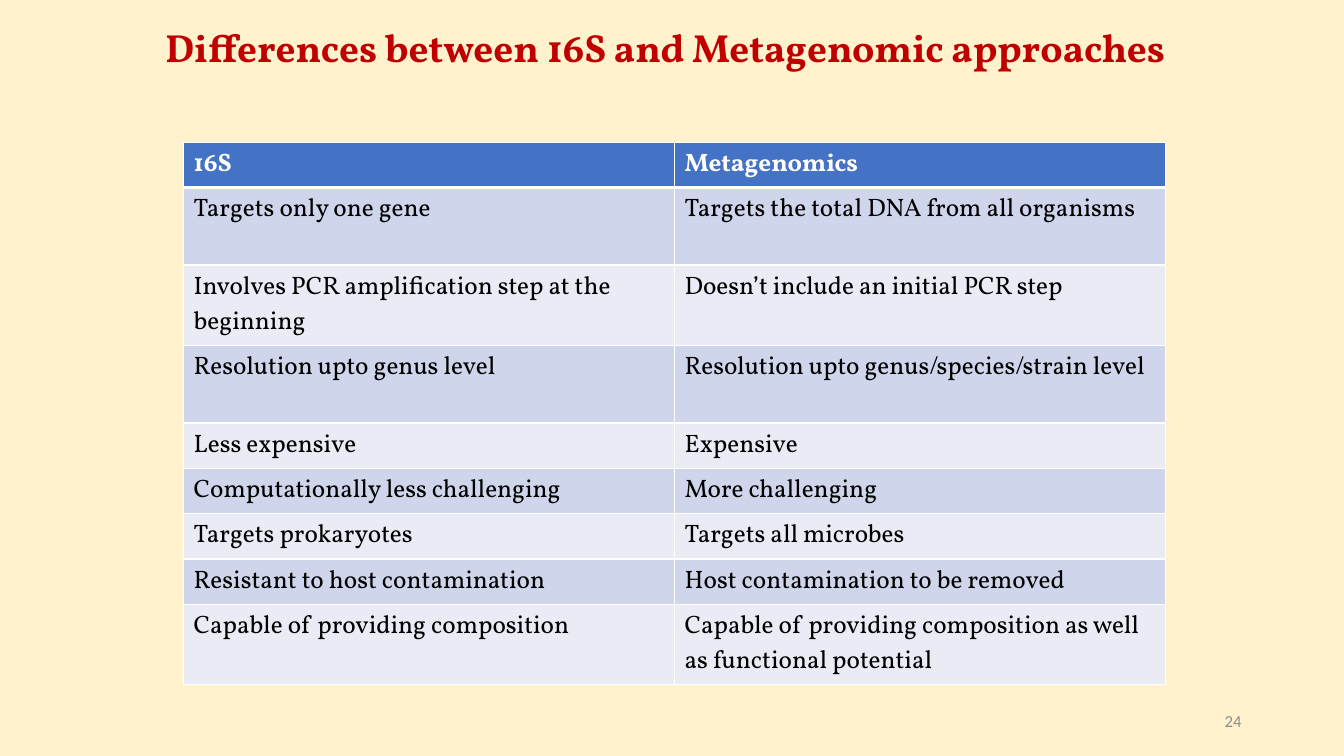
from lxml import etree
from pptx import Presentation
from pptx import util as u
from pptx.dml.color import RGBColor
from pptx.enum import text
from pptx.oxml import ns

Pt = u.Pt
COLORS = {
    "background": "FFF2CC", "title": "C00000", "header": "4472C4",
    "band_dark": "CFD5EA", "band_light": "E9EBF5",
    "white": "FFFFFF", "black": "000000", "number": "8C8C8C",
}
ROWS = [
    ("16S", "Metagenomics"),
    ("Targets only one gene", "Targets the total DNA from all organisms"),
    ("Involves PCR amplification step at the beginning", "Doesn’t include an initial PCR step"),
    ("Resolution upto genus level", "Resolution upto genus/species/strain level"),
    ("Less expensive", "Expensive"),
    ("Computationally less challenging", "More challenging"),
    ("Targets prokaryotes", "Targets all microbes"),
    ("Resistant to host contamination", "Host contamination to be removed"),
    ("Capable of providing composition",
     "Capable of providing composition as well as functional potential"),
]
TALL_ROWS = {1, 2, 3, 8}


def rgb(name):
    return RGBColor.from_string(COLORS[name])


def write(tf, content, size=18, font="Vollkorn", color="black", bold=False,
          align=text.PP_ALIGN.LEFT, spacing=None):
    p = tf.paragraphs[0]
    p.alignment = align
    if spacing:
        p.line_spacing = spacing
    r = p.add_run()
    r.text = content
    r.font.size = Pt(size)
    r.font.name = font
    r.font.bold = bold
    r.font.color.rgb = rgb(color)


def set_borders(cell, top=1, bottom=1):
    tc_pr = cell._tc.get_or_add_tcPr()
    for side, width in (("L", 1), ("R", 1), ("T", top), ("B", bottom)):
        ln = etree.SubElement(tc_pr, ns.qn(f"a:ln{side}"), w=str(Pt(width)))
        fill = etree.SubElement(ln, ns.qn("a:solidFill"))
        etree.SubElement(fill, ns.qn("a:srgbClr"), val=COLORS["white"])


def add_title(s, content):
    sp = s.shapes.title
    sp.left, sp.top, sp.width, sp.height = Pt(111), Pt(10), Pt(773), Pt(51)
    tf = sp.text_frame
    tf.word_wrap = True
    tf.auto_size = text.MSO_AUTO_SIZE.NONE
    tf.vertical_anchor = text.MSO_ANCHOR.MIDDLE
    write(tf, content, size=28, color="title", bold=True, spacing=0.9)


def add_comparison(s):
    heights = [55.44 if i in TALL_ROWS else 32.4 for i in range(len(ROWS))]
    frame = s.shapes.add_table(len(ROWS), 2, Pt(131.2), Pt(101.5), Pt(701.4), Pt(sum(heights)))
    table = frame.table
    for i, (row, height) in enumerate(zip(ROWS, heights)):
        table.rows[i].height = Pt(height)
        header = i == 0
        band = "header" if header else "band_dark" if i % 2 else "band_light"
        for j, content in enumerate(row):
            cell = table.cell(i, j)
            set_borders(cell, top=3 if i == 1 else 1, bottom=3 if header else 1)
            cell.fill.solid()
            cell.fill.fore_color.rgb = rgb(band)
            write(cell.text_frame, content, color="white" if header else "black", bold=header)


def add_slide_number(s, number):
    tf = s.shapes.add_textbox(Pt(678), Pt(500.5), Pt(216), Pt(28.8)).text_frame
    tf.word_wrap = True
    tf.vertical_anchor = text.MSO_ANCHOR.MIDDLE
    write(tf, number, size=12, font="Calibri", color="number", align=text.PP_ALIGN.RIGHT)


def main():
    prs = Presentation()
    prs.slide_width, prs.slide_height = Pt(960), Pt(540)
    s = prs.slides.add_slide(prs.slide_layouts[5])
    s.background.fill.solid()
    s.background.fill.fore_color.rgb = rgb("background")
    add_title(s, "Differences between 16S and Metagenomic approaches")
    add_comparison(s)
    add_slide_number(s, "24")
    prs.save("out.pptx")


if __name__ == "__main__":
    main()
